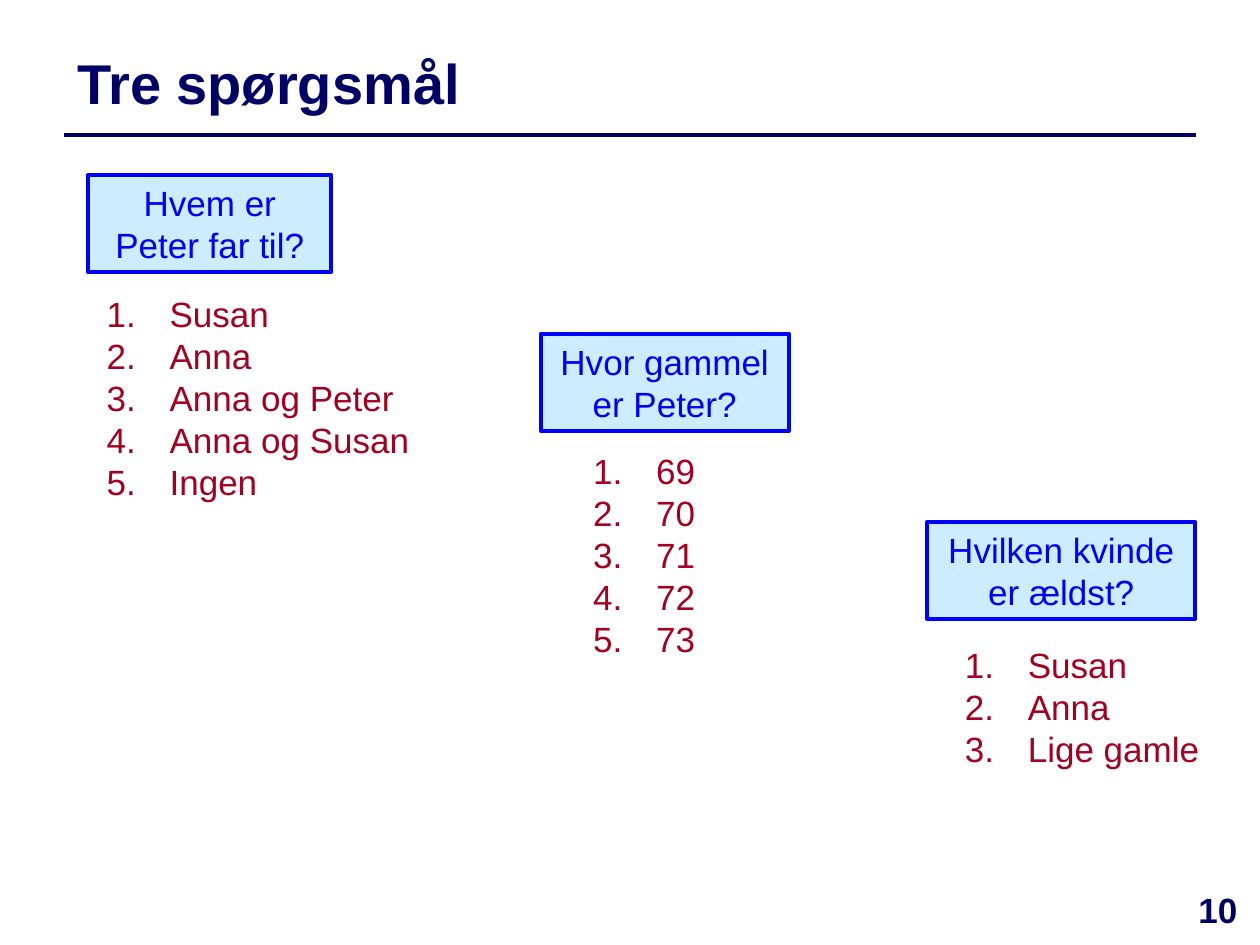
from dataclasses import dataclass

from lxml import etree
from pptx import Presentation
from pptx.dml.color import RGBColor
from pptx.enum import shapes, text
from pptx.oxml import ns
from pptx.util import Cm, Pt


@dataclass(frozen=True)
class Theme:
    font: str = "Arial"
    navy: RGBColor = RGBColor(0x00, 0x00, 0x66)
    blue: RGBColor = RGBColor(0x00, 0x00, 0xFF)
    pale_blue: RGBColor = RGBColor(0xCC, 0xEC, 0xFF)
    red: RGBColor = RGBColor(0xA5, 0x00, 0x21)
    title_size: Pt = Pt(32)
    body_size: Pt = Pt(20)
    rule_width: Pt = Pt(2)
    border_width: Pt = Pt(2.25)


THEME = Theme()
MARGIN = Cm(1.3)
CONTENT_WIDTH = Cm(22.8)
QUESTION_HEIGHT = Cm(1.96)
NUMBER_INDENT = Cm(1.27)

# Question, its left, top, width; answers, their left, top, width, height (cm)
QUESTIONS = [
    ("Hvem er Peter far til?", (1.78, 3.53, 4.9),
     ["Susan", "Anna", "Anna og Peter", "Anna og Susan", "Ingen"],
     (1.9, 5.77, 6.8, 4.52)),
    ("Hvor gammel er Peter?", (10.9, 6.73, 5),
     ["69", "70", "71", "72", "73"],
     (11.71, 8.94, 2.8, 4.52)),
    ("Hvilken kvinde er ældst?", (18.69, 10.52, 5.41),
     ["Susan", "Anna", "Lige gamle"],
     (19.2, 12.85, 5.51, 2.82)),
]


def format_text(frame, color, size, bold=False, align=text.PP_ALIGN.LEFT):
    frame.word_wrap = True
    for paragraph in frame.paragraphs:
        paragraph.alignment = align
        for run in paragraph.runs:
            run.font.name = THEME.font
            run.font.size = size
            run.font.bold = bold
            run.font.color.rgb = color


def number_paragraph(paragraph):
    """Give the paragraph an automatic number with a hanging indent."""
    properties = paragraph._p.get_or_add_pPr()
    properties.set("marL", str(NUMBER_INDENT))
    properties.set("indent", str(-NUMBER_INDENT))
    etree.SubElement(properties, ns.qn("a:buFont"), typeface="+mj-lt")
    etree.SubElement(properties, ns.qn("a:buAutoNum"), type="arabicPeriod")


def add_title(slide, wording):
    title = slide.shapes.title
    title.left, title.top = MARGIN, Cm(0.71)
    title.width, title.height = CONTENT_WIDTH, Cm(1.9)
    title.text_frame.text = wording
    title.text_frame.vertical_anchor = text.MSO_ANCHOR.MIDDLE
    format_text(title.text_frame, THEME.navy, THEME.title_size, bold=True)


def add_title_rule(slide):
    y = Cm(2.72)
    rule = slide.shapes.add_connector(
        shapes.MSO_CONNECTOR.STRAIGHT, MARGIN, y, MARGIN + CONTENT_WIDTH, y)
    rule.line.color.rgb = THEME.navy
    rule.line.width = THEME.rule_width
    etree.SubElement(rule._element.spPr, ns.qn("a:effectLst"))


def add_question(slide, wording, left, top, width):
    question = slide.shapes.add_shape(
        shapes.MSO_SHAPE.RECTANGLE, Cm(left), Cm(top), Cm(width), QUESTION_HEIGHT)
    question.shadow.inherit = False
    question.fill.solid()
    question.fill.fore_color.rgb = THEME.pale_blue
    question.line.color.rgb = THEME.blue
    question.line.width = THEME.border_width
    frame = question.text_frame
    frame.text = wording
    frame.vertical_anchor = text.MSO_ANCHOR.TOP
    frame.auto_size = text.MSO_AUTO_SIZE.SHAPE_TO_FIT_TEXT
    format_text(frame, THEME.blue, THEME.body_size, align=text.PP_ALIGN.CENTER)


def add_answers(slide, answers, left, top, width, height):
    frame = slide.shapes.add_textbox(
        Cm(left), Cm(top), Cm(width), Cm(height)).text_frame
    frame.text = "\n".join(answers)
    frame.auto_size = text.MSO_AUTO_SIZE.SHAPE_TO_FIT_TEXT
    format_text(frame, THEME.red, THEME.body_size)
    for paragraph in frame.paragraphs:
        number_paragraph(paragraph)


def add_page_number(slide, number):
    frame = slide.shapes.add_textbox(
        Cm(23.7), Cm(17.78), Cm(1.7), Cm(1.27)).text_frame
    frame.text = number
    format_text(frame, THEME.navy, THEME.body_size, bold=True,
                align=text.PP_ALIGN.CENTER)


def main():
    deck = Presentation()
    deck.slide_width, deck.slide_height = Cm(25.4), Cm(19.05)
    slide = deck.slides.add_slide(deck.slide_layouts.get_by_name("Title Only"))
    add_title_rule(slide)
    add_title(slide, "Tre spørgsmål")
    for question, question_place, answers, answers_place in QUESTIONS:
        add_question(slide, question, *question_place)
        add_answers(slide, answers, *answers_place)
    add_page_number(slide, "10")
    deck.save("out.pptx")


if __name__ == "__main__":
    main()
